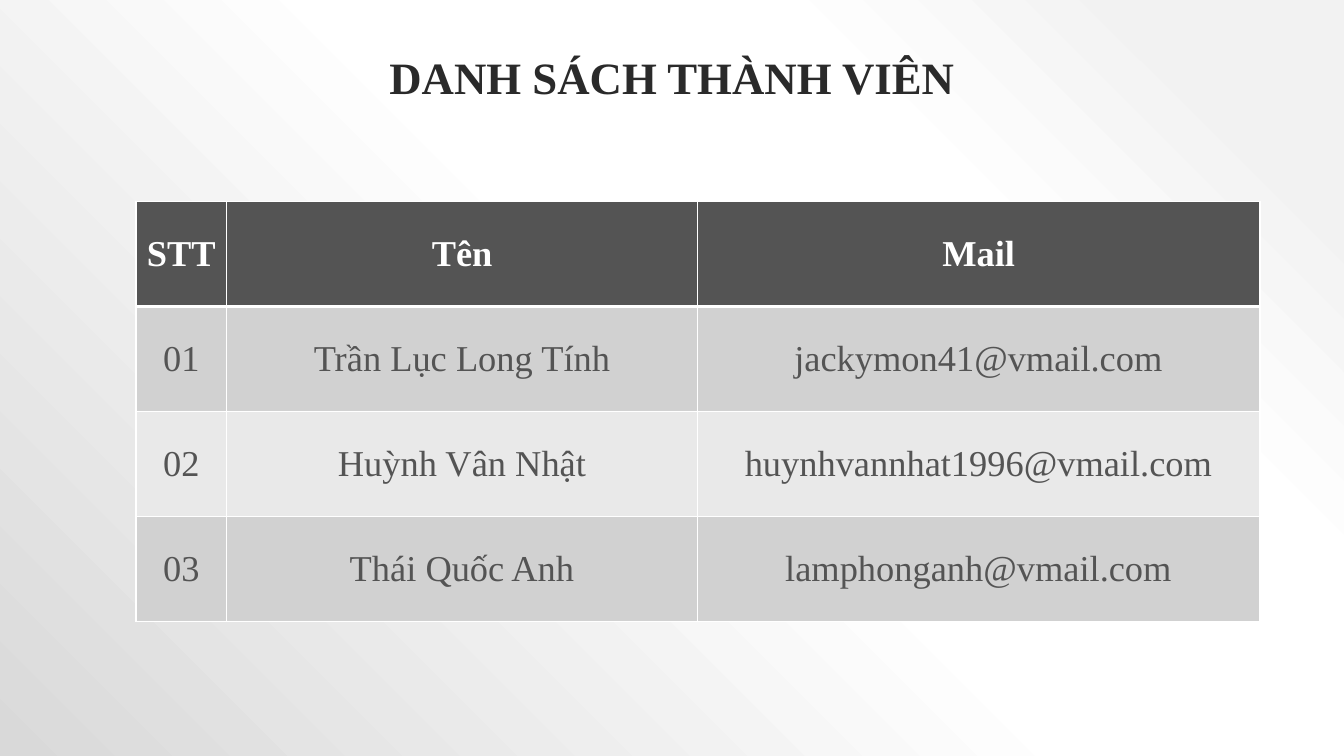
from lxml.etree import SubElement
from pptx import Presentation
from pptx.dml.color import RGBColor
from pptx.enum.text import MSO_ANCHOR, PP_ALIGN
from pptx.oxml import parse_xml
from pptx.oxml.ns import nsdecls, qn
from pptx.util import Pt

FONT = "Times New Roman"
WHITE, DARK, INK = "FFFFFF", "545454", "2A2A2A"
BAND_FILLS = ["D1D1D1", "E9E9E9"]
BACKDROP_STOPS = [(10, "F2F2F2"), (28, WHITE), (48, WHITE), (100, "D9D9D9")]
COLUMN_WIDTHS = [64.8, 336.2, 401.8]
MEMBERS = [
    ("STT", "Tên", "Mail"),
    ("01", "Trần Lục Long Tính", "jackymon41@vmail.com"),
    ("02", "Huỳnh Vân Nhật", "huynhvannhat1996@vmail.com"),
    ("03", "Thái Quốc Anh", "lamphonganh@vmail.com"),
]


def color(value):
    return RGBColor.from_string(value)


def style_paragraph(paragraph, size, value, bold):
    paragraph.alignment = PP_ALIGN.CENTER
    font = paragraph.font
    font.name, font.size, font.bold = FONT, Pt(size), bold
    font.color.rgb = color(value)


def set_borders(cell, bottom_width):
    properties = cell._tc.get_or_add_tcPr()
    widths = {"a:lnL": 1, "a:lnR": 1, "a:lnT": 1, "a:lnB": bottom_width}
    for tag, width in widths.items():
        line = SubElement(properties, qn(tag), w=str(Pt(width)))
        fill = SubElement(line, qn("a:solidFill"))
        SubElement(fill, qn("a:srgbClr"), val=WHITE)


def add_backdrop(slide):
    """Gradient that spreads from the top right corner."""
    stops = "".join(
        f'<a:gs pos="{position * 1000}"><a:srgbClr val="{value}"/></a:gs>'
        for position, value in BACKDROP_STOPS
    )
    background = parse_xml(
        f'<p:bg {nsdecls("p", "a")}><p:bgPr><a:gradFill rotWithShape="1">'
        f'<a:gsLst>{stops}</a:gsLst><a:path path="circle">'
        '<a:fillToRect l="100000" b="100000"/></a:path></a:gradFill>'
        "<a:effectLst/></p:bgPr></p:bg>"
    )
    slide.element.cSld.insert(0, background)


def add_title(slide, left, top, width, height):
    shape = slide.shapes.add_textbox(Pt(left), Pt(top), Pt(width), Pt(height))
    frame = shape.text_frame
    frame.word_wrap = True
    frame.vertical_anchor = MSO_ANCHOR.BOTTOM
    paragraph = frame.paragraphs[0]
    paragraph.text = "DANH SÁCH THÀNH VIÊN"
    paragraph.line_spacing = 0.9
    style_paragraph(paragraph, 32, INK, True)


def add_member_table(slide, left, top, width, height):
    shape = slide.shapes.add_table(
        len(MEMBERS), len(COLUMN_WIDTHS), Pt(left), Pt(top), Pt(width), Pt(height)
    )
    table = shape.table
    for column, column_width in zip(table.columns, COLUMN_WIDTHS):
        column.width = Pt(column_width)

    for row_index, texts in enumerate(MEMBERS):
        header = row_index == 0
        fill = DARK if header else BAND_FILLS[(row_index - 1) % 2]
        for column_index, text in enumerate(texts):
            cell = table.cell(row_index, column_index)
            cell.vertical_anchor = MSO_ANCHOR.MIDDLE
            # Borders come before the fill in the cell properties
            set_borders(cell, 3 if header else 1)
            cell.fill.solid()
            cell.fill.fore_color.rgb = color(fill)
            paragraph = cell.text_frame.paragraphs[0]
            paragraph.text = text
            style_paragraph(paragraph, 26, WHITE if header else DARK, header)


def main():
    presentation = Presentation()
    presentation.slide_width, presentation.slide_height = Pt(960), Pt(540)
    slide = presentation.slides.add_slide(presentation.slide_layouts[6])
    add_backdrop(slide)
    add_title(slide, 96, 21.6, 768, 56.2)
    add_member_table(slide, 97.2, 144, sum(COLUMN_WIDTHS), 300)
    presentation.save("out.pptx")


if __name__ == "__main__":
    main()
